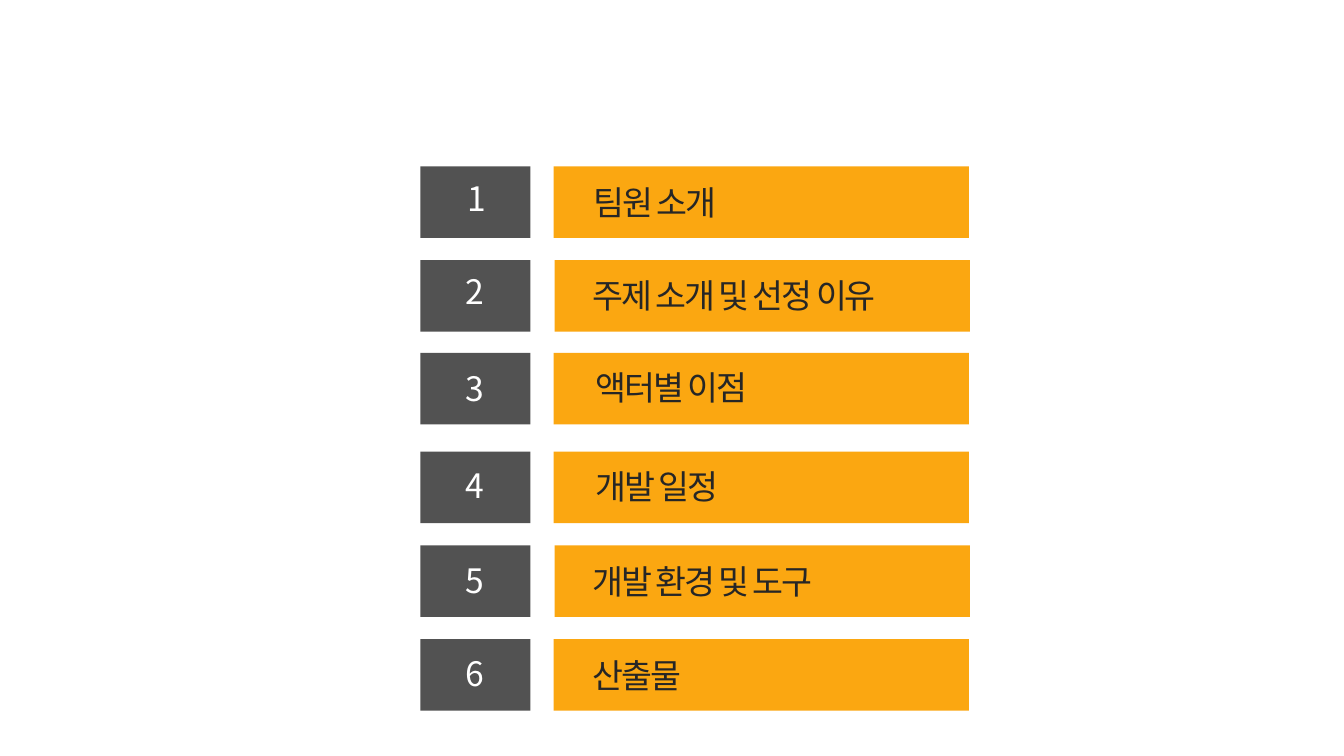
from dataclasses import dataclass

from lxml import etree
from pptx import Presentation
from pptx.dml.color import RGBColor
from pptx.enum.shapes import MSO_SHAPE
from pptx.enum.text import MSO_ANCHOR, MSO_AUTO_SIZE, PP_ALIGN
from pptx.oxml.ns import qn
from pptx.util import Inches, Pt

RECT = MSO_SHAPE.RECTANGLE
MIDDLE = MSO_ANCHOR.MIDDLE
GROW = MSO_AUTO_SIZE.SHAPE_TO_FIT_TEXT
LEFT, CENTER = PP_ALIGN.LEFT, PP_ALIGN.CENTER

# Row top, bar left, number box (left, top, width), label, label box (left, top, width)
AGENDA = [
    (1.65, 5.49, (4.54, 1.72, 0.34), "팀원 소개", (5.79, 1.75, 1.96)),
    (2.58, 5.5, (4.48, 2.64, 0.45), "주제 소개 및 선정 이유", (5.78, 2.68, 3.6)),
    (3.5, 5.49, (4.48, 3.6, 0.45), "액터별 이점", (5.81, 3.59, 3.16)),
    (4.48, 5.49, (4.48, 4.56, 0.45), "개발 일정", (5.81, 4.57, 3.16)),
    (5.41, 5.5, (4.48, 5.5, 0.45), "개발 환경 및 도구", (5.78, 5.51, 3.34)),
    (6.34, 5.49, (4.48, 6.43, 0.45), "산출물", (5.78, 6.45, 2.51)),
]
TILE_LEFT, TILE_WIDTH, BAR_WIDTH = 4.17, 1.09, 4.12
ROW_HEIGHT, TEXT_HEIGHT = 0.71, 0.5


@dataclass(frozen=True)
class Theme:
    tile: str = "525252"
    bar: str = "FBA711"
    number: str = "FFFFFF"
    label: str = "262626"
    font: str = "Noto Sans CJK KR"
    size: int = 24
    label_spacing: int = -150  # hundredths of a point


THEME = Theme()


def add_block(s, left, top, width, height, fill):
    sp = s.shapes.add_shape(RECT, Inches(left), Inches(top), Inches(width), Inches(height))
    sp.shadow.inherit = False
    sp.fill.solid()
    sp.fill.fore_color.rgb = RGBColor.from_string(fill)
    sp.line.fill.background()
    return sp


def add_text(s, text, box, fill, color, align, spacing=0):
    left, top, width = box
    tf = add_block(s, left, top, width, TEXT_HEIGHT, fill).text_frame
    tf.word_wrap = True
    tf.auto_size = GROW
    tf.vertical_anchor = MIDDLE
    tf.text = text
    p = tf.paragraphs[0]
    p.alignment = align
    r = p.runs[0]
    r.font.name = THEME.font
    r.font.size = Pt(THEME.size)
    r.font.color.rgb = RGBColor.from_string(color)
    rPr = r._r.get_or_add_rPr()
    etree.SubElement(rPr, qn("a:ea"), typeface=THEME.font)
    if spacing:
        rPr.set("spc", str(spacing))


def main():
    prs = Presentation()
    prs.slide_width, prs.slide_height = Inches(13.33), Inches(7.5)
    s = prs.slides.add_slide(prs.slide_layouts[6])

    for number, (top, bar_left, number_box, label, label_box) in enumerate(AGENDA, 1):
        add_block(s, TILE_LEFT, top, TILE_WIDTH, ROW_HEIGHT, THEME.tile)
        add_block(s, bar_left, top, BAR_WIDTH, ROW_HEIGHT, THEME.bar)
        add_text(s, str(number), number_box, THEME.tile, THEME.number, CENTER)
        add_text(s, label, label_box, THEME.bar, THEME.label, LEFT, THEME.label_spacing)

    prs.save("out.pptx")


if __name__ == "__main__":
    main()
